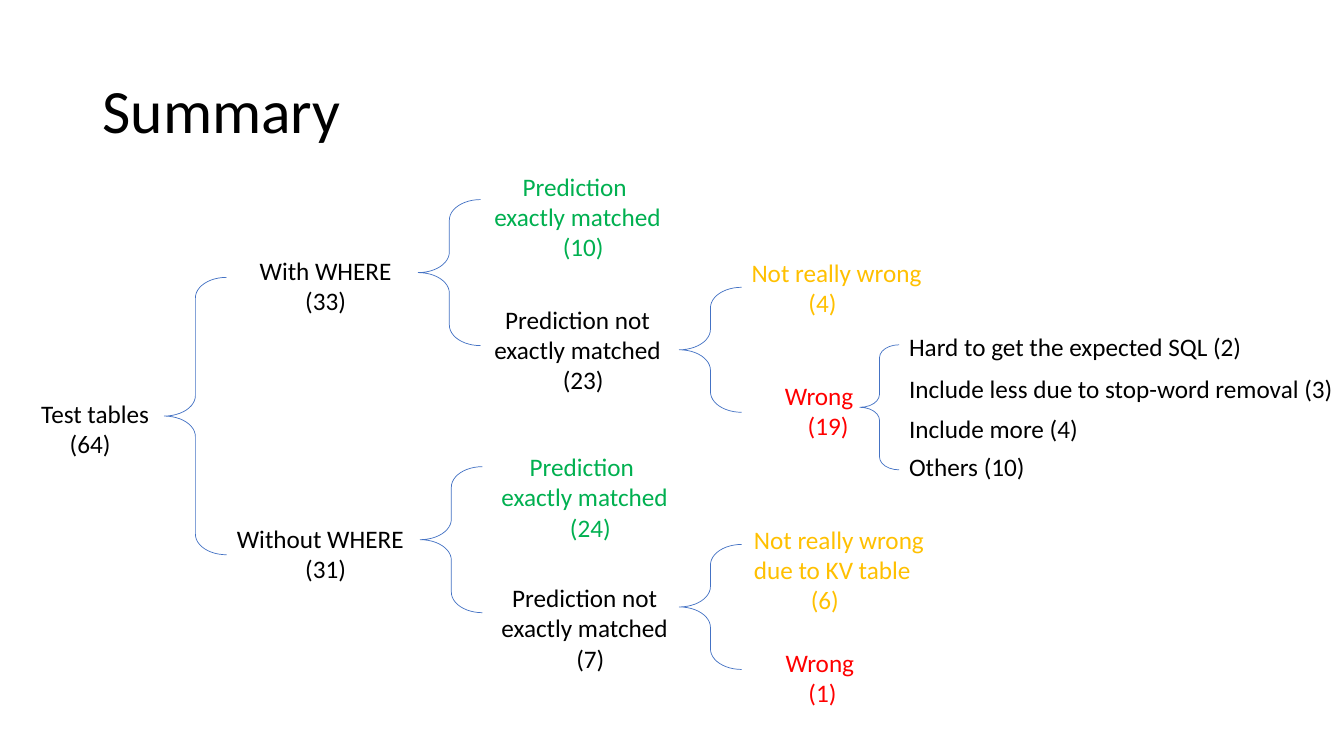
from pptx import Presentation
from pptx.dml.color import RGBColor
from pptx.enum.shapes import MSO_SHAPE
from pptx.enum.text import MSO_ANCHOR, MSO_AUTO_SIZE, PP_ALIGN
from pptx.util import Cm, Pt

BRACE = MSO_SHAPE.LEFT_BRACE
MIDDLE = MSO_ANCHOR.MIDDLE
GROW = MSO_AUTO_SIZE.SHAPE_TO_FIT_TEXT
LEFT, CENTER = PP_ALIGN.LEFT, PP_ALIGN.CENTER
FONT = "Calibri"
STEP = 0.1435
COLORS = {"black": "000000", "green": "00B050", "amber": "FFC000",
          "red": "FF0000", "blue": "4472C4"}


def style(par, size, color, align):
    par.alignment = align
    for run in par.runs:
        run.font.name = FONT
        run.font.size = Pt(size)
        run.font.color.rgb = RGBColor.from_string(COLORS[color])


def add_node(x, y, width, rows, color, align, lines):
    box = slide.shapes.add_textbox(Cm(x), Cm(y), Cm(width), Cm(0.25 + 0.77 * rows))
    frame = box.text_frame
    frame.word_wrap = True
    frame.auto_size = GROW
    frame.text = "\n".join(text for text, _ in lines)
    for par, (_, indent) in zip(frame.paragraphs, lines):
        style(par, 18, color, align)
        if indent:
            props = par._p.get_or_add_pPr()
            props.set("marL", str(Cm(indent * STEP)))
            props.set("indent", "0")


prs = Presentation()
prs.slide_width, prs.slide_height = Cm(33.87), Cm(19.05)
slide = prs.slides.add_slide(prs.slide_layouts[5])

title = slide.shapes.title
title.left, title.top, title.width, title.height = Cm(2.33), Cm(1.01), Cm(29.21), Cm(3.68)
title.text_frame.text = "Summary"
title.text_frame.vertical_anchor = MIDDLE
head = title.text_frame.paragraphs[0]
head.line_spacing = 0.9
style(head, 44, "black", LEFT)

braces = [
    (4.14, 6.99, 1.57, 6.99),
    (10.54, 5.03, 1.57, 3.68),
    (10.59, 11.76, 1.57, 3.68),
    (17.12, 7.24, 1.57, 3.15),
    (17.12, 13.72, 1.57, 3.15),
    (21.67, 8.69, 0.99, 3.15),
]
for x, y, width, height in braces:
    brace = slide.shapes.add_shape(BRACE, Cm(x), Cm(y), Cm(width), Cm(height))
    brace.shadow.inherit = False
    brace.fill.background()
    brace.line.color.rgb = RGBColor.from_string(COLORS["blue"])
    brace.line.width = Pt(0.5)
    brace.adjustments[0] = 0.33
    brace.adjustments[1] = 0.5

add_node(0.79, 9.91, 3.38, 2, "black", LEFT, [("Test tables", 0), ("(64)", 5)])
add_node(5.72, 6.3, 4.88, 2, "black", LEFT, [("With WHERE", 4), ("(33)", 12)])
add_node(5.72, 13.06, 4.88, 2, "black", LEFT, [("Without WHERE", 0), ("(31)", 12)])

groups = [(11.99, 4.19, 7.54, "(10)", "(23)"), (12.17, 11.25, 14.55, "(24)", "(7)")]
for x, top, low, match, miss in groups:
    add_node(x, top, 5.13, 3, "green", CENTER,
             [("Prediction ", 0), ("exactly matched", 0), (match, 2)])
    add_node(x, low, 5.13, 3, "black", CENTER,
             [("Prediction not exactly matched", 0), (miss, 2)])

add_node(18.69, 6.35, 5.13, 2, "amber", LEFT, [("Not really wrong", 0), ("(4)", 10)])
add_node(18.75, 13.08, 5.13, 3, "amber", LEFT,
         [("Not really wrong", 0), ("due to KV table", 0), ("(6)", 10)])
for x, y, count in [(18.67, 9.45, "(19)"), (18.69, 16.18, "(1)")]:
    add_node(x, y, 4.29, 2, "red", LEFT, [("Wrong", 6), (count, 10)])

reasons = [
    (8.23, 8.99, "Hard to get the expected SQL (2)"),
    (9.27, 11.33, "Include less due to stop-word removal (3)"),
    (10.29, 4.8, "Include more (4)"),
    (11.25, 3.45, "Others (10)"),
]
for y, width, text in reasons:
    add_node(22.66, y, width, 1, "black", LEFT, [(text, 0)])

prs.save("out.pptx")
